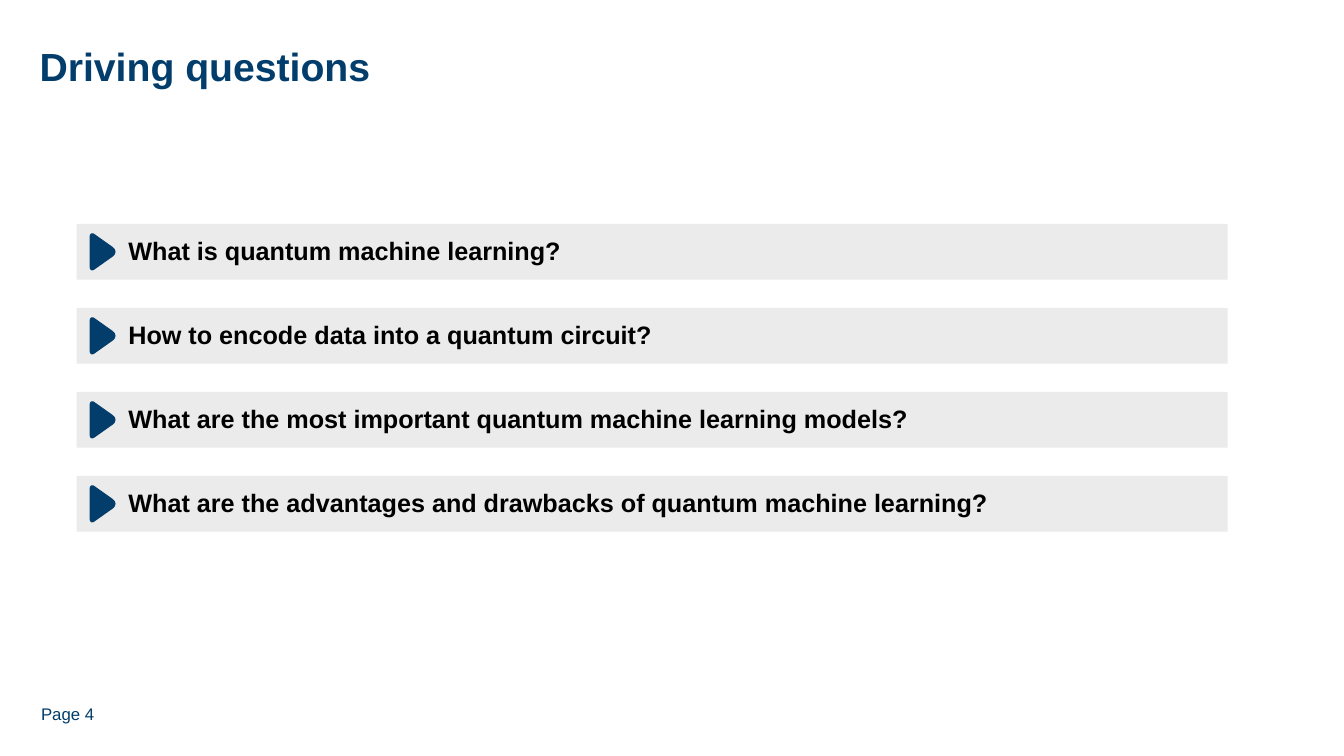
"""Build the slide that lists the driving questions."""
from lxml.etree import SubElement
from pptx import Presentation
from pptx.dml.color import RGBColor
from pptx.enum.shapes import MSO_SHAPE
from pptx.enum.text import MSO_ANCHOR, MSO_AUTO_SIZE, PP_ALIGN
from pptx.oxml.ns import qn
from pptx.util import Pt

TITLE = "Driving questions"
QUESTIONS = [
    "What is quantum machine learning?",
    "How to encode data into a quantum circuit?",
    "What are the most important quantum machine learning models?",
    "What are the advantages and drawbacks of quantum machine learning?",
]
PAGE_LABEL = "Page 4"

FONT = "Arial"
NAVY = RGBColor(0x02, 0x3D, 0x6B)
GREY = RGBColor(0xEB, 0xEB, 0xEB)
BLACK = RGBColor(0, 0, 0)

BAR_LEFT, BAR_TOP, BAR_WIDTH, BAR_HEIGHT = 54.8, 160, 822.2, 39.8
BAR_PITCH = 60
ARROW_LEFT, ARROW_WIDTH, ARROW_HEIGHT = 64, 18.7, 26.6
ARROW_CORNERS = [
    [(0, 24.1), (0, 26.8), (2.2, 27.5), (4.3, 25.4)],
    [(16.6, 16.7), (19.2, 15), (19.2, 11.6), (16.6, 9.9)],
    [(4.3, 1.2), (2.2, -0.9), (0, -0.2), (0, 2.5)],
]
UNITS_PER_POINT = 100


def set_text(shape, text, size, color, bold, margins=(0, 0, 0, 0),
             anchor=MSO_ANCHOR.TOP, line_spacing=None):
    text_frame = shape.text_frame
    text_frame.text = text
    text_frame.word_wrap = True
    text_frame.auto_size = MSO_AUTO_SIZE.NONE
    text_frame.vertical_anchor = anchor
    (text_frame.margin_left, text_frame.margin_top,
     text_frame.margin_right, text_frame.margin_bottom) = map(Pt, margins)
    paragraph = text_frame.paragraphs[0]
    paragraph.alignment = PP_ALIGN.LEFT
    paragraph.line_spacing = line_spacing
    font = paragraph.runs[0].font
    font.name, font.size, font.bold = FONT, Pt(size), bold
    font.color.rgb = color


def fill_plain(shape, color):
    shape.shadow.inherit = False
    shape.fill.solid()
    shape.fill.fore_color.rgb = color
    shape.line.fill.background()


def add_path_step(outline, tag, points=()):
    step = SubElement(outline, qn(tag))
    for x, y in points:
        SubElement(step, qn("a:pt"), x=str(round(x * UNITS_PER_POINT)),
                   y=str(round(y * UNITS_PER_POINT)))


def add_arrow(slide, left, top):
    width, height = (round(size * UNITS_PER_POINT) for size in (ARROW_WIDTH, ARROW_HEIGHT))
    builder = slide.shapes.build_freeform(0, 0, scale=Pt(1) / UNITS_PER_POINT)
    builder.add_line_segments([(width, 0), (width, height), (0, height)], close=True)
    arrow = builder.convert_to_shape(Pt(left), Pt(top))
    fill_plain(arrow, NAVY)

    outline = next(arrow.element.iter(qn("a:path")))
    for step in list(outline):
        outline.remove(step)
    for index, corner in enumerate(ARROW_CORNERS):
        add_path_step(outline, "a:lnTo" if index else "a:moveTo", corner[:1])
        add_path_step(outline, "a:cubicBezTo", corner[1:])
    add_path_step(outline, "a:close")


def add_question(slide, question, top):
    bar = slide.shapes.add_shape(
        MSO_SHAPE.RECTANGLE, Pt(BAR_LEFT), Pt(top), Pt(BAR_WIDTH), Pt(BAR_HEIGHT))
    fill_plain(bar, GREY)
    set_text(bar, question, 18, BLACK, True, (36.9, 3.6, 7.2, 3.6),
             MSO_ANCHOR.MIDDLE, 0.95)
    add_arrow(slide, ARROW_LEFT, top + (BAR_HEIGHT - ARROW_HEIGHT) / 2)


def main():
    presentation = Presentation()
    presentation.slide_width, presentation.slide_height = Pt(960), Pt(540)
    slide = presentation.slides.add_slide(presentation.slide_layouts[5])

    title = slide.shapes.title
    title.left, title.top, title.width, title.height = map(Pt, (28.3, 25.2, 901.4, 51.8))
    set_text(title, TITLE, 28, NAVY, True, line_spacing=1.14)

    for index, question in enumerate(QUESTIONS):
        add_question(slide, question, BAR_TOP + index * BAR_PITCH)

    page_label = slide.shapes.add_textbox(Pt(29.3), Pt(502.6), Pt(56.9), Pt(17.3))
    set_text(page_label, PAGE_LABEL, 12, NAVY, False)

    presentation.save("out.pptx")


if __name__ == "__main__":
    main()
